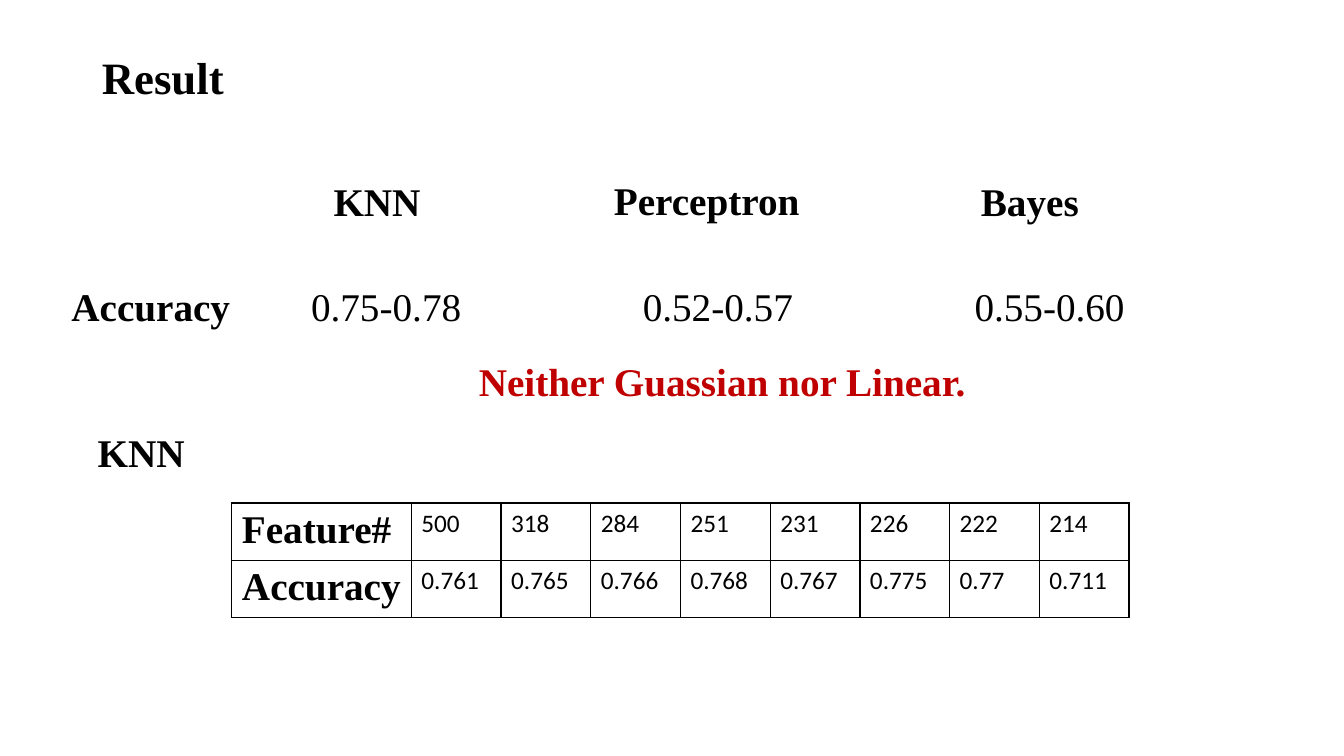
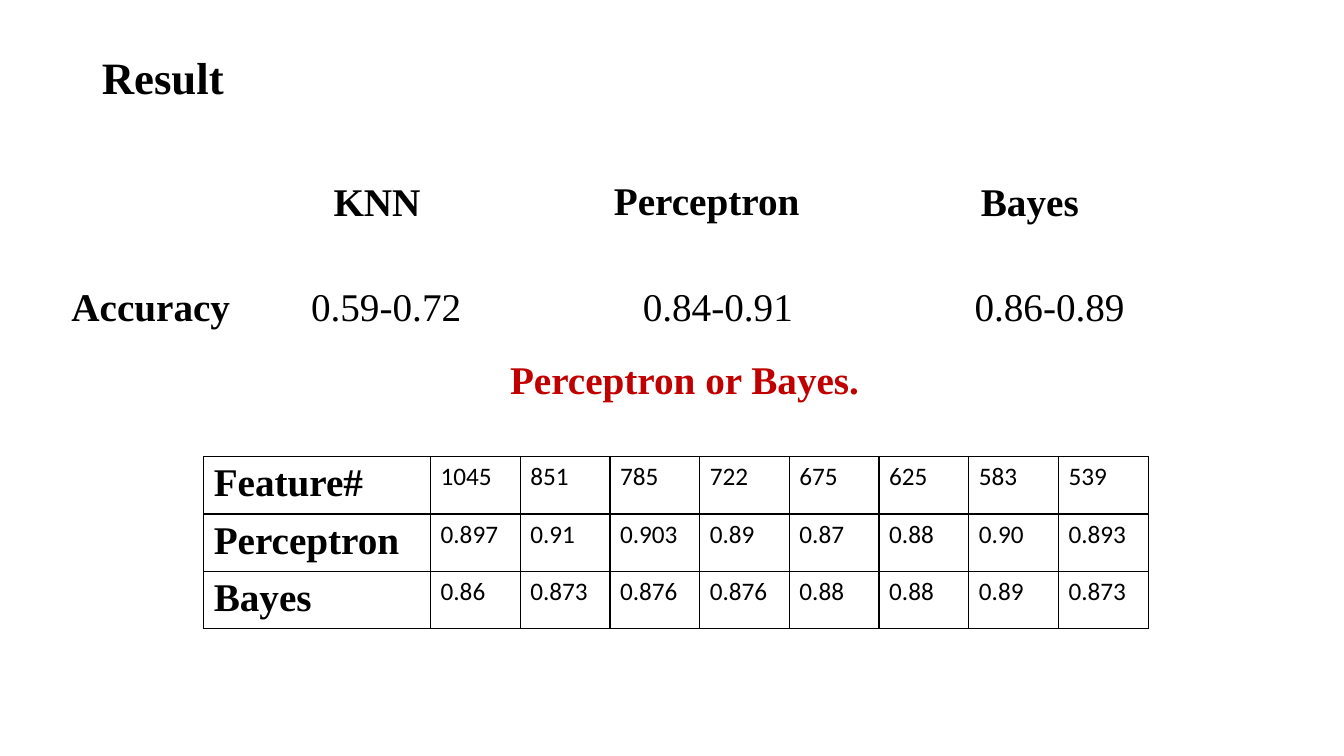
from lxml.etree import SubElement
from pptx import Presentation
from pptx.dml.color import RGBColor
from pptx.enum.text import MSO_ANCHOR as Anchor, MSO_AUTO_SIZE as AutoSize, PP_ALIGN as Align
from pptx.oxml.ns import qn
from pptx.util import Inches, Pt

BLACK = RGBColor(0x00, 0x00, 0x00)
RED = RGBColor(0xC0, 0x00, 0x00)
SERIF, SANS = "Times New Roman", "Calibri"

TITLE = "Result"
# Text, left, top, width of the headings shared by both slides
HEADINGS = [
    ("KNN", 3.21, 1.71, 1.24),
    ("Perceptron", 5.99, 1.7, 2.38),
    ("Bayes", 9.63, 1.71, 1.61),
    ("Accuracy", 0.61, 2.75, 1.94),
]
RESULTS = [
    {
        "ranges": ["0.75-0.78", "0.52-0.57", "0.55-0.60"],
        "verdict": ("Neither Guassian nor Linear.", 4.65, 3.5, 5.05),
        "labels": [("KNN", 0.87, 4.2, 1.42)],
        "table_at": (2.3, 4.99),
        "name_width": 1.78,
        "rows": [
            ("Feature#", "500", "318", "284", "251", "231", "226", "222", "214"),
            ("Accuracy", "0.761", "0.765", "0.766", "0.768", "0.767", "0.775", "0.77", "0.711"),
        ],
    },
    {
        "ranges": ["0.84-0.91", "0.86-0.89"],
        "verdict": ("Perceptron or Bayes.", 4.96, 3.48, 5.05),
        "labels": [],
        "table_at": (2.02, 4.53),
        "name_width": 2.25,
        "rows": [
            ("Feature#", "1045", "851", "785", "722", "675", "625", "583", "539"),
            ("Perceptron", "0.897", "0.91", "0.903", "0.89", "0.87", "0.88", "0.90", "0.893"),
            ("Bayes", "0.86", "0.873", "0.876", "0.876", "0.88", "0.88", "0.89", "0.873"),
        ],
    },
]
RESULTS[1]["ranges"].insert(0, "0.59-0.72")

LINE_HEIGHT = 0.57
RANGE_LEFT, RANGE_STEP, RANGE_TOP, RANGE_WIDTH = 2.7, 3.29, 2.75, 2.26
VALUE_WIDTH = 0.89


def write(frame, text, size=28, bold=True, color=BLACK, font=SERIF, align=Align.LEFT):
    """Put one formatted run into the first paragraph of a text frame."""
    para = frame.paragraphs[0]
    para.alignment = align
    span = para.add_run()
    span.text = text
    span.font.name, span.font.size = font, Pt(size)
    span.font.bold = bold
    span.font.color.rgb = color


def add_text(page, text, left, top, width, **style):
    """Add a one-line text box."""
    box = page.shapes.add_textbox(Inches(left), Inches(top), Inches(width), Inches(LINE_HEIGHT))
    box.text_frame.word_wrap = True
    write(box.text_frame, text, **style)


def add_title(page):
    """Move the title placeholder to the top left and fill it."""
    title = page.shapes.title
    title.left, title.top = Inches(0.91), Inches(0.44)
    title.width, title.height = Inches(4.36), Inches(0.64)
    title.text_frame.vertical_anchor = Anchor.TOP
    title.text_frame.auto_size = AutoSize.NONE
    write(title.text_frame, TITLE, size=32)


def outline(cell):
    """Draw a thin black border on all sides of a cell."""
    properties = cell._tc.get_or_add_tcPr()
    for side in ("a:lnL", "a:lnR", "a:lnT", "a:lnB"):
        line = SubElement(properties, qn(side), w=str(Pt(1)))
        fill = SubElement(line, qn("a:solidFill"))
        SubElement(fill, qn("a:srgbClr"), val=str(BLACK))


def add_grid(page, rows, at, name_width):
    """Add a plain bordered table with a bold name column."""
    widths = [name_width] + [VALUE_WIDTH] * (len(rows[0]) - 1)
    left, top = at
    table = page.shapes.add_table(
        len(rows), len(widths), Inches(left), Inches(top),
        Inches(sum(widths)), Inches(LINE_HEIGHT * len(rows))).table
    table.first_row = table.horz_banding = False
    for column, width in zip(table.columns, widths):
        column.width = Inches(width)
    for row, texts in zip(table.rows, rows):
        for index, (cell, text) in enumerate(zip(row.cells, texts)):
            outline(cell)
            cell.fill.background()
            if index == 0:
                write(cell.text_frame, text)
            else:
                write(cell.text_frame, text, size=18, bold=False, font=SANS)


def add_result(deck, result):
    """Build one result slide."""
    page = deck.slides.add_slide(deck.slide_layouts[5])
    add_title(page)
    for label in HEADINGS + result["labels"]:
        add_text(page, *label)
    for index, text in enumerate(result["ranges"]):
        add_text(page, text, RANGE_LEFT + index * RANGE_STEP, RANGE_TOP, RANGE_WIDTH,
                 bold=False, align=Align.CENTER)
    add_text(page, *result["verdict"], color=RED)
    add_grid(page, result["rows"], result["table_at"], result["name_width"])


deck = Presentation()
deck.slide_width, deck.slide_height = Inches(13.33), Inches(7.5)
for result in RESULTS:
    add_result(deck, result)
deck.save("out.pptx")
